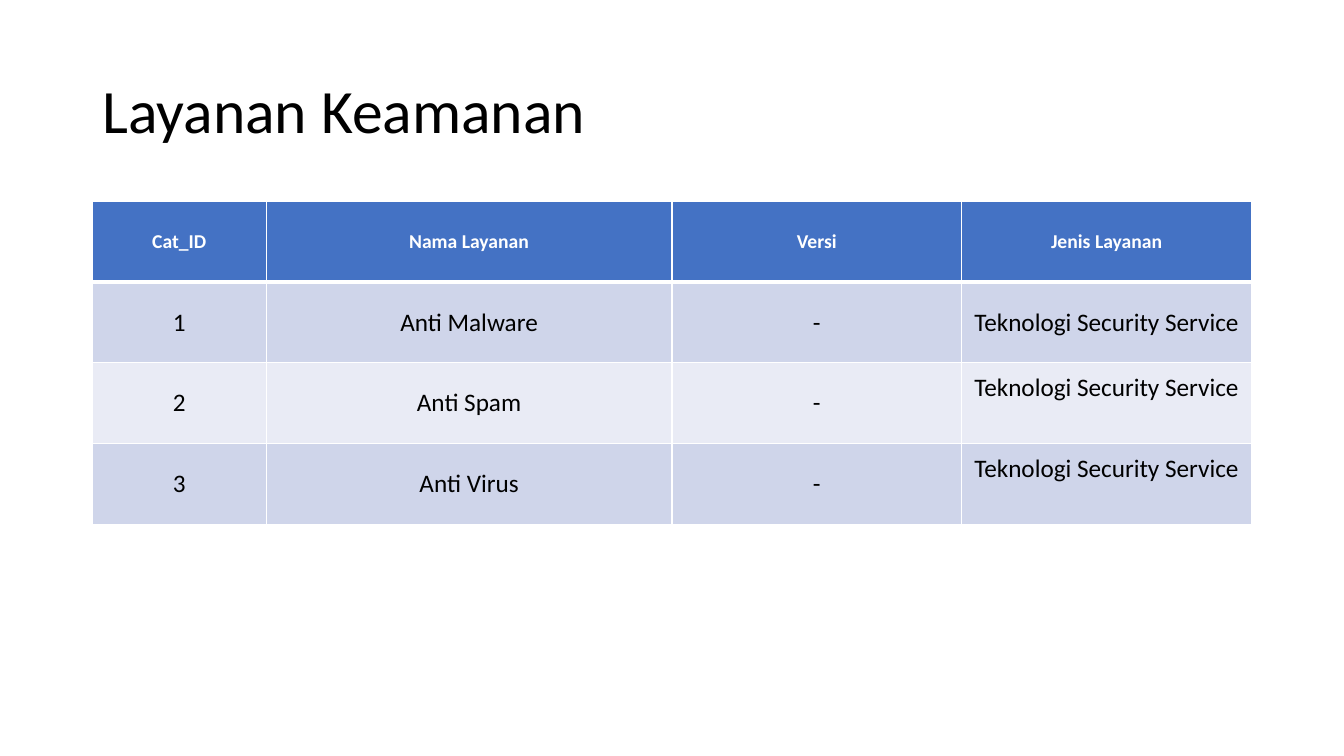
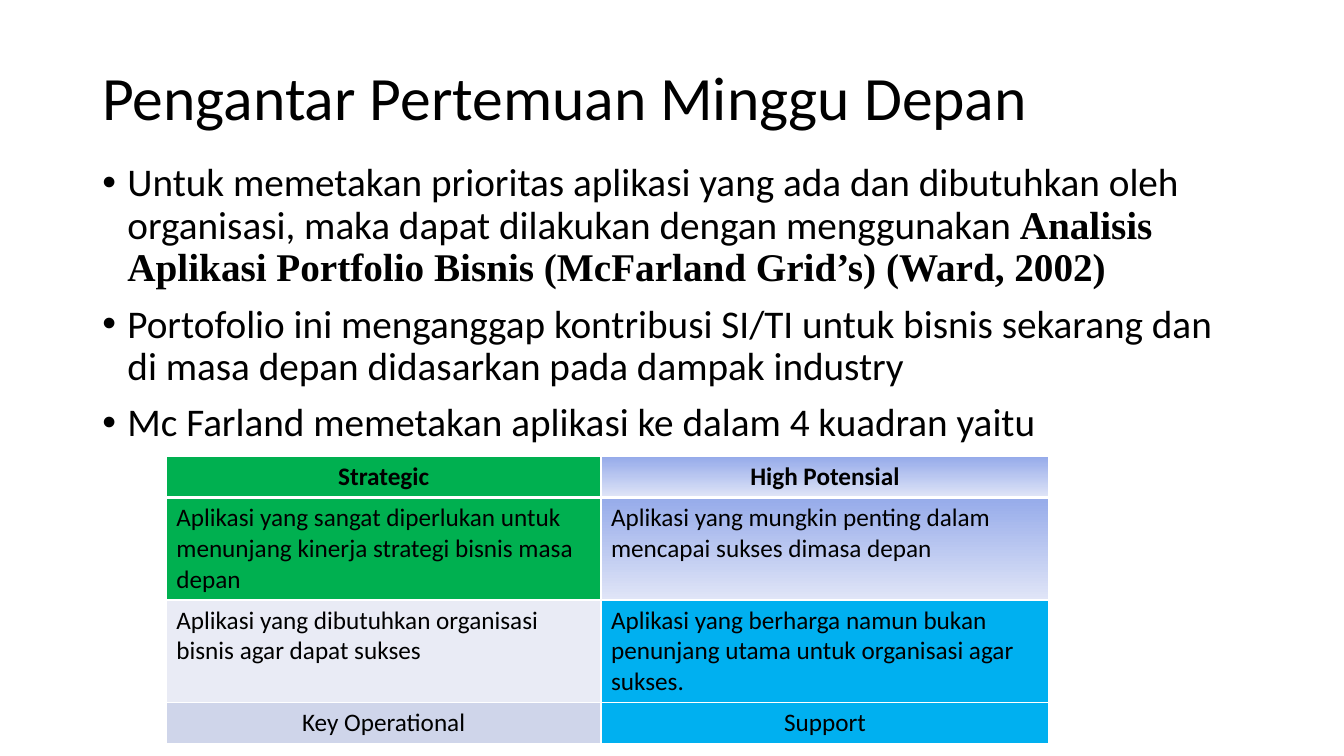
from lxml import etree
from pptx import Presentation
from pptx.dml.color import RGBColor
from pptx.enum.text import MSO_ANCHOR, PP_ALIGN
from pptx.oxml.ns import qn
from pptx.util import Pt

TOP, MIDDLE = MSO_ANCHOR.TOP, MSO_ANCHOR.MIDDLE
LEFT, CENTER = PP_ALIGN.LEFT, PP_ALIGN.CENTER

# Shared style
FONT, SERIF = "Calibri", "Times New Roman"
BLACK, WHITE = "000000", "FFFFFF"
BLUE, BAND_DARK, BAND_LIGHT = "4472C4", "CFD5EA", "E9EBF5"
GREEN, CYAN = "00B050", "00B0F0"
LILAC = ("96ABEA", "E0E5F7")
MARGIN, CONTENT_W, TITLE_Y = 66, 828, 28.8
LINE_SPACING = 0.9


def rgb(color):
    return RGBColor.from_string(color)


def add_text(p, text, size=18, color=BLACK, bold=False, font=FONT):
    r = p.add_run()
    r.text = text
    r.font.size = Pt(size)
    r.font.name = font
    r.font.bold = bold
    r.font.color.rgb = rgb(color)


def add_box(s, y, h, anchor=TOP):
    sp = s.shapes.add_textbox(Pt(MARGIN), Pt(y), Pt(CONTENT_W), Pt(h))
    tf = sp.text_frame
    tf.word_wrap = True
    tf.vertical_anchor = anchor
    return tf


def add_title(s, text, h):
    p = add_box(s, TITLE_Y, h, MIDDLE).paragraphs[0]
    p.line_spacing = LINE_SPACING
    add_text(p, text, size=44)


def add_bullets(s, y, h, items):
    """Each item is a list of (text, format) runs."""
    tf = add_box(s, y, h)
    for i, runs in enumerate(items):
        p = tf.add_paragraph() if i else tf.paragraphs[0]
        p.line_spacing = LINE_SPACING
        p.space_before = Pt(10)
        pPr = p._p.get_or_add_pPr()
        pPr.set("marL", str(Pt(18)))
        pPr.set("indent", str(Pt(-18)))
        etree.SubElement(pPr, qn("a:buFont"), typeface="Arial")
        etree.SubElement(pPr, qn("a:buChar"), char="•")
        for text, fmt in runs:
            add_text(p, text, size=28, **fmt)


def set_fill(cell, fill):
    """A string is a solid colour, a pair runs from top to bottom."""
    if isinstance(fill, str):
        cell.fill.solid()
        cell.fill.fore_color.rgb = rgb(fill)
        return
    cell.fill.gradient()
    cell.fill.gradient_angle = 270
    for stop, color, position in zip(cell.fill.gradient_stops, fill, (0, 1)):
        stop.color.rgb = rgb(color)
        stop.position = position


def set_borders(cell, top=1, bottom=1):
    tcPr = cell._tc.get_or_add_tcPr()
    widths = {"a:lnL": 1, "a:lnR": 1, "a:lnT": top, "a:lnB": bottom}
    for i, (tag, width) in enumerate(widths.items()):
        ln = etree.Element(qn(tag), w=str(Pt(width)))
        solid = etree.SubElement(ln, qn("a:solidFill"))
        etree.SubElement(solid, qn("a:srgbClr"), val=WHITE)
        tcPr.insert(i, ln)


def add_table(s, x, y, widths, heights, rows, fills):
    """Add a table with a thick rule below its header row."""
    table = s.shapes.add_table(len(rows), len(widths), Pt(x), Pt(y),
                               Pt(sum(widths)), Pt(sum(heights))).table
    table.horz_banding = False
    for column, width in zip(table.columns, widths):
        column.width = Pt(width)
    for i, height in enumerate(heights):
        table.rows[i].height = Pt(height)
        for j, text in enumerate(rows[i]):
            cell = table.cell(i, j)
            cell.text_frame.text = ""
            set_fill(cell, fills[i][j])
            set_borders(cell, top=3 if i == 1 else 1, bottom=3 if i == 0 else 1)
    return table


def fill_cell(cell, text, align=CENTER, anchor=TOP, **fmt):
    cell.vertical_anchor = anchor
    p = cell.text_frame.paragraphs[0]
    p.alignment = align
    add_text(p, text, **fmt)


def build_services(s):
    add_title(s, "Layanan Keamanan", 104.4)

    # Service table
    kind = "Teknologi Security Service"
    rows = [["Cat_ID", "Nama Layanan", "Versi", "Jenis Layanan"]]
    for number, name in enumerate(("Anti Malware", "Anti Spam", "Anti Virus"), 1):
        rows.append([str(number), name, "-", kind])
    fills = [[c] * 4 for c in (BLUE, BAND_DARK, BAND_LIGHT, BAND_DARK)]
    widths = [CONTENT_W * share for share in (0.15, 0.35, 0.25, 0.25)]
    table = add_table(s, MARGIN, 144, widths, [57.6] * 4, rows, fills)
    for i, row in enumerate(rows):
        for j, text in enumerate(row):
            cell = table.cell(i, j)
            if i == 0:
                cell.margin_left = cell.margin_right = 0
                cell.margin_top = cell.margin_bottom = 0
                fill_cell(cell, text, anchor=MIDDLE, size=14, color=WHITE, bold=True)
            elif i > 1 and j == 3:
                cell.margin_top = Pt(7.2)
                fill_cell(cell, text)
            else:
                fill_cell(cell, text, anchor=MIDDLE)


def build_next_week(s):
    add_title(s, "Pengantar Pertemuan Minggu Depan", 86.4)
    add_bullets(s, 113, 343, [
        [("Untuk memetakan prioritas aplikasi yang ada dan dibutuhkan oleh "
          "organisasi, maka dapat dilakukan dengan menggunakan ", {}),
         ("Analisis Aplikasi Portfolio Bisnis (McFarland Grid’s) (Ward, 2002)",
          {"font": SERIF, "bold": True})],
        [("Portofolio ini menganggap kontribusi SI/TI untuk bisnis sekarang dan "
          "di masa depan didasarkan pada dampak industry", {})],
        [("Mc Farland memetakan aplikasi ke dalam 4 kuadran yaitu", {})],
    ])

    # Quadrant table: names in the outer rows, descriptions between them
    rows = [
        ["Strategic", "High Potensial"],
        ["Aplikasi yang sangat diperlukan untuk menunjang kinerja strategi "
         "bisnis masa depan",
         "Aplikasi yang mungkin penting dalam mencapai sukses dimasa depan"],
        ["Aplikasi yang dibutuhkan organisasi bisnis agar dapat sukses",
         "Aplikasi yang berharga namun bukan penunjang utama untuk organisasi "
         "agar sukses."],
        ["Key Operational", "Support"],
    ]
    fills = [[GREEN, LILAC], [GREEN, LILAC], [BAND_LIGHT, CYAN], [BAND_DARK, CYAN]]
    table = add_table(s, 118.8, 326.2, [310.5, 320], [29.2, 73.2, 73.2, 29.2],
                      rows, fills)
    for i, row in enumerate(rows):
        for j, text in enumerate(row):
            fill_cell(table.cell(i, j), text, bold=i == 0,
                      align=CENTER if i in (0, 3) else LEFT)


def main():
    prs = Presentation()
    prs.slide_width, prs.slide_height = Pt(960), Pt(540)
    for build in (build_services, build_next_week):
        build(prs.slides.add_slide(prs.slide_layouts[6]))
    prs.save("out.pptx")


if __name__ == "__main__":
    main()
